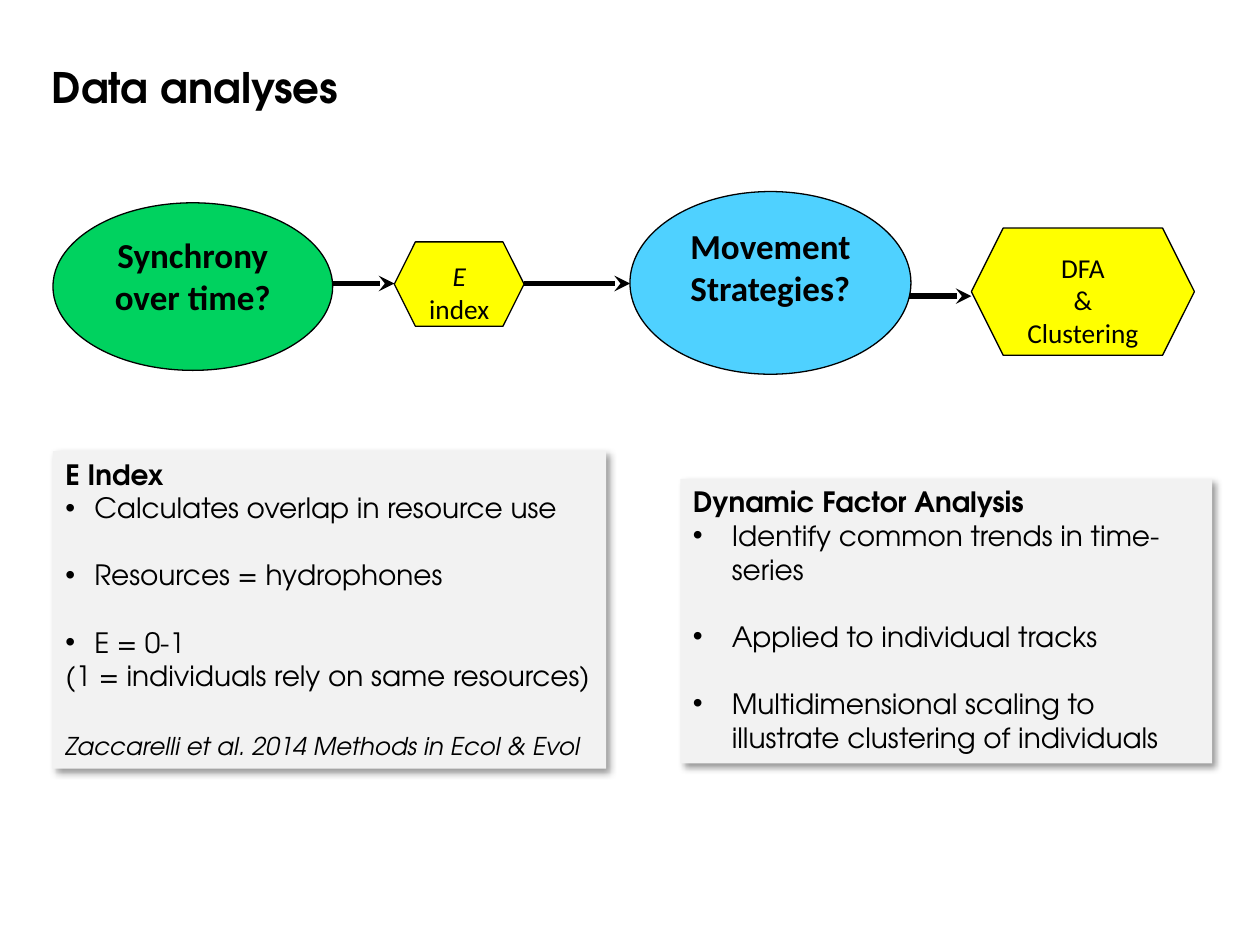
from lxml import etree
from pptx import Presentation
from pptx.dml.color import RGBColor
from pptx.enum.shapes import MSO_CONNECTOR, MSO_SHAPE
from pptx.enum.text import MSO_ANCHOR, MSO_AUTO_SIZE, PP_ALIGN
from pptx.oxml.ns import qn
from pptx.util import Inches, Pt

BODY_FONT = "TeX Gyre Adventor"
FLOW_FONT = "Calibri"
BLACK = "000000"
YELLOW = "FFFF00"
PANEL_GREY = "F2F2F2"


def color(hex_value):
    return RGBColor.from_string(hex_value)


def sub(parent, tag, **attributes):
    return etree.SubElement(parent, qn(tag), attributes)


def add_run(paragraph, text, font, size, bold=False, italic=False):
    run = paragraph.add_run()
    run.text = text
    run.font.name = font
    run.font.size = Pt(size)
    run.font.bold = bold
    run.font.italic = italic
    run.font.color.rgb = color(BLACK)


def add_bullet(paragraph, indent):
    properties = paragraph._p.get_or_add_pPr()
    properties.set("marL", str(Inches(indent)))
    properties.set("indent", str(-Inches(indent)))
    sub(properties, "a:buFont", typeface="Arial")
    sub(properties, "a:buChar", char="•")


def add_box(slide, preset, box, fill):
    shape = slide.shapes.add_shape(preset, *map(Inches, box))
    shape.shadow.inherit = False
    shape.fill.solid()
    shape.fill.fore_color.rgb = color(fill)
    shape.text_frame.word_wrap = True
    shape.text_frame.vertical_anchor = MSO_ANCHOR.TOP
    return shape


def add_title(slide, box, text):
    title = slide.shapes.add_textbox(*map(Inches, box)).text_frame
    title.word_wrap = True
    title.margin_left = title.margin_right = Inches(0.09)
    title.margin_top = title.margin_bottom = Inches(0.04)
    add_run(title.paragraphs[0], text, BODY_FONT, 24, bold=True)


def add_arrow(slide, start, end, y):
    arrow = slide.shapes.add_connector(
        MSO_CONNECTOR.STRAIGHT, Inches(start), Inches(y), Inches(end), Inches(y))
    arrow.line.color.rgb = color(BLACK)
    arrow.line.width = Pt(3)
    sub(arrow.line._get_or_add_ln(), "a:tailEnd", type="stealth")
    sub(arrow._element.spPr, "a:effectLst")


def add_step(slide, preset, box, fill, lines, size, bold=False):
    """Each line is a list of (text, italic) runs."""
    step = add_box(slide, preset, box, fill)
    step.line.color.rgb = color(BLACK)
    step.line.width = Pt(0.75)
    frame = step.text_frame
    for i, runs in enumerate(lines):
        paragraph = frame.add_paragraph() if i else frame.paragraphs[0]
        paragraph.alignment = PP_ALIGN.CENTER
        for text, italic in runs:
            add_run(paragraph, text, FLOW_FONT, size, bold, italic)


def add_panel(slide, box, heading, bullets, indent, remark=None, citation=None):
    panel = add_box(slide, MSO_SHAPE.RECTANGLE, box, PANEL_GREY)
    panel.line.fill.background()
    effects = panel._element.spPr.find(qn("a:effectLst"))
    shadow = sub(effects, "a:outerShdw", blurRad=str(Pt(4)), dist=str(Pt(3)),
                 dir=str(45 * 60000), algn="tl", rotWithShape="0")
    sub(sub(shadow, "a:srgbClr", val=BLACK), "a:alpha", val="40000")

    frame = panel.text_frame
    frame.auto_size = MSO_AUTO_SIZE.SHAPE_TO_FIT_TEXT

    def add_line(text, size=16, gap=0, bullet=False, italic=False):
        paragraph = frame.add_paragraph()
        paragraph.alignment = PP_ALIGN.LEFT
        paragraph.space_before = Pt(gap)
        if bullet:
            add_bullet(paragraph, indent)
        add_run(paragraph, text, BODY_FONT, size, italic=italic)

    frame.paragraphs[0].alignment = PP_ALIGN.LEFT
    add_run(frame.paragraphs[0], heading, BODY_FONT, 16, bold=True)
    for i, text in enumerate(bullets):
        add_line(text, gap=19.2 if i else 0, bullet=True)
    if remark:
        add_line(remark)
    if citation:
        add_line(citation, size=14, gap=22, italic=True)


def add_flow(slide):
    for start, end, y in [(2.49, 3.13, 2.25), (4.16, 5, 2.25), (7.14, 7.71, 2.35)]:
        add_arrow(slide, start, end, y)
    add_step(slide, MSO_SHAPE.OVAL, (0.42, 1.61, 2.22, 1.33), "00D25F",
             [[("Synchrony over time?", False)]], 20, bold=True)
    add_step(slide, MSO_SHAPE.HEXAGON, (3.13, 1.92, 1.03, 0.67), YELLOW,
             [[("E ", True), ("index", False)]], 15.6)
    add_step(slide, MSO_SHAPE.OVAL, (5, 1.52, 2.23, 1.45), "4FD1FF",
             [[("Movement Strategies?", False)]], 20, bold=True)
    add_step(slide, MSO_SHAPE.HEXAGON, (7.71, 1.81, 1.77, 1.01), YELLOW,
             [[(word, False)] for word in ("DFA", "&", "Clustering")], 15.6)


def main():
    deck = Presentation()
    deck.slide_width, deck.slide_height = Inches(10), Inches(7.5)
    slide = deck.slides.add_slide(deck.slide_layouts[6])
    add_title(slide, (0.32, 0.45, 7.34, 1.02), "Data analyses")
    add_flow(slide)
    add_panel(slide, (0.42, 3.58, 4.39, 2.52), "E Index",
              ["Calculates overlap in resource use",
               "Resources = hydrophones",
               "E = 0-1"], 0.23,
              remark="(1 = individuals rely on same resources)",
              citation="Zaccarelli et al. 2014 Methods in Ecol & Evol")
    add_panel(slide, (5.4, 3.8, 4.22, 2.26), "Dynamic Factor Analysis",
              ["Identify common trends in time-series",
               "Applied to individual tracks",
               "Multidimensional scaling to illustrate clustering of individuals"], 0.31)
    deck.save("out.pptx")


if __name__ == "__main__":
    main()
